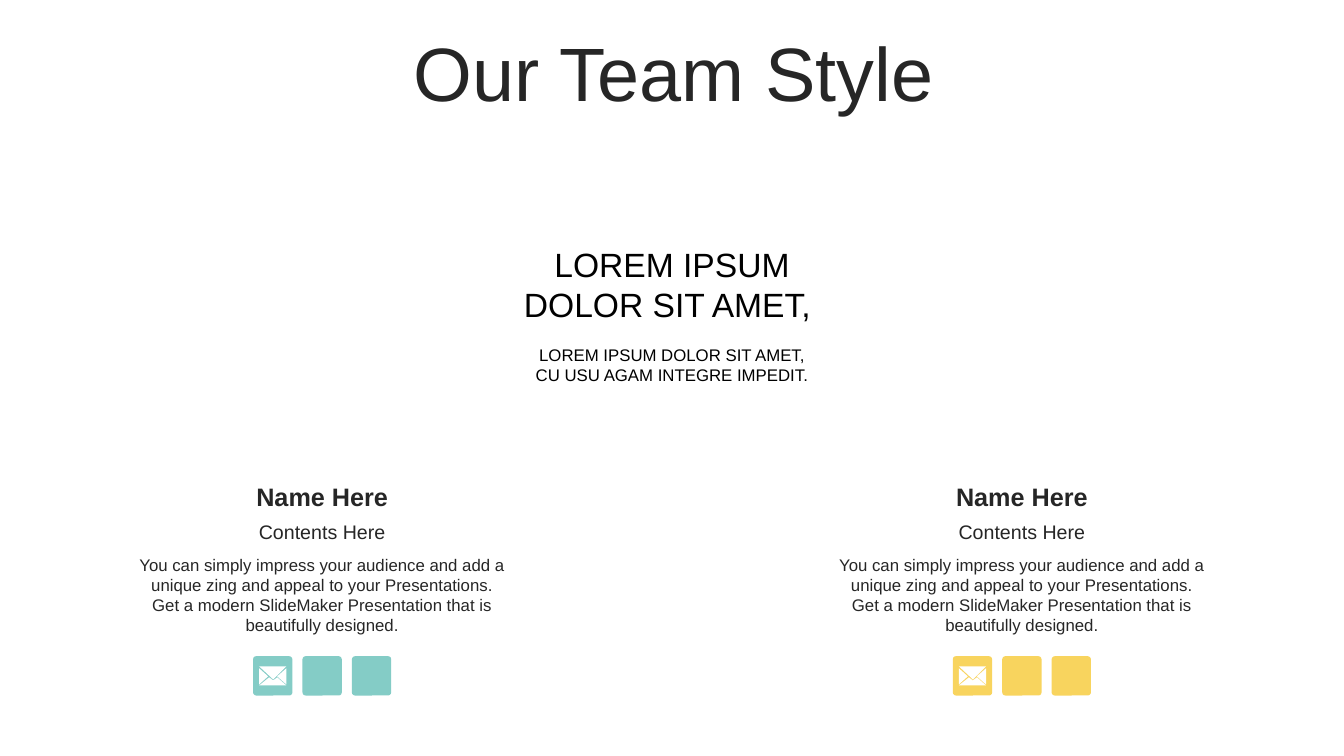
from pptx import Presentation
from pptx.dml.color import RGBColor
from pptx.enum.shapes import MSO_SHAPE
from pptx.enum.text import MSO_ANCHOR, PP_ALIGN
from pptx.util import Inches, Pt

TITLE = "Our Team Style"
INK, BLACK, WHITE = "262626", "000000", "FFFFFF"
BLURB = ("You can simply impress your audience and add a unique zing and "
         "appeal to your Presentations. Get a modern SlideMaker "
         "Presentation that is beautifully designed.")

# top, height, lines, size, bold, anchor
MIDDLE = [
    (2.36, 0.91, ["LOREM IPSUM", "DOLOR SIT AMET, "], 24, False, MSO_ANCHOR.MIDDLE),
    (3.37, 0.5, ["LOREM IPSUM DOLOR SIT AMET,", "CU USU AGAM INTEGRE IMPEDIT."],
     12, False, MSO_ANCHOR.MIDDLE),
]
CARD = [
    (4.73, 0.38, ["Name Here"], 18, True, MSO_ANCHOR.MIDDLE),
    (5.14, 0.27, ["Contents Here"], 14, False, MSO_ANCHOR.MIDDLE),
    (5.45, 0.91, [BLURB], 12, False, MSO_ANCHOR.TOP),
]
MEMBERS = [(1.25, "84CCC6"), (8.19, "F8D45E")]  # left, colour
WIDTH = 3.89
ICON, STEP, ICON_TOP, ICONS = 0.39, 0.49, 6.51, 3

# Envelope pieces, in hundredths of an inch from the icon's corner
ENVELOPE = [
    [(6, 10), (20, 23), (33, 10)],
    [(6, 12), (6, 28), (15, 20)],
    [(33, 12), (24, 20), (33, 28)],
    [(24, 21), (20, 24), (16, 21), (6, 29), (33, 29)],
]


def color(code):
    return RGBColor.from_string(code)


def paint(shape, code):
    shape.shadow.inherit = False
    shape.fill.solid()
    shape.fill.fore_color.rgb = color(code)
    shape.line.fill.background()


def write(frame, lines, size, code, bold=False, anchor=MSO_ANCHOR.MIDDLE):
    frame.word_wrap = True
    frame.vertical_anchor = anchor
    frame.text = "\n".join(lines)
    for para in frame.paragraphs:
        para.alignment = PP_ALIGN.CENTER
        for run in para.runs:
            font = run.font
            font.name, font.size, font.bold = "Arial", Pt(size), bold
            font.color.rgb = color(code)


def stack(shapes, left, rows, code):
    """Add one text box for each row of a column."""
    for top, height, lines, size, bold, anchor in rows:
        box = shapes.add_textbox(Inches(left), Inches(top), Inches(WIDTH), Inches(height))
        write(box.text_frame, lines, size, code, bold, anchor)


def envelope(shapes, left, top):
    first, *rest = ENVELOPE
    pen = shapes.build_freeform(*first[0], scale=Inches(0.01))
    pen.add_line_segments(first[1:], close=True)
    for piece in rest:
        pen.move_to(*piece[0])
        pen.add_line_segments(piece[1:], close=True)
    paint(pen.convert_to_shape(Inches(left), Inches(top)), WHITE)


def icons(shapes, left, code):
    start = left + (WIDTH - ICON - (ICONS - 1) * STEP) / 2
    for i in range(ICONS):
        tile = shapes.add_shape(MSO_SHAPE.ROUNDED_RECTANGLE, Inches(start + i * STEP),
                                Inches(ICON_TOP), Inches(ICON), Inches(ICON))
        tile.adjustments[0] = 0.08
        paint(tile, code)
    envelope(shapes, start, ICON_TOP)


def main():
    deck = Presentation()
    deck.slide_width, deck.slide_height = Inches(13.33), Inches(7.5)
    slide = deck.slides.add_slide(deck.slide_layouts[5])
    shapes = slide.shapes

    title = shapes.title
    title.left, title.top = Inches(0.35), Inches(0.37)
    title.width, title.height = Inches(12.66), Inches(0.79)
    write(title.text_frame, [TITLE], 54, INK)
    title.text_frame.paragraphs[0].line_spacing = 0.9

    for left, code in MEMBERS:
        stack(shapes, left, CARD, INK)
        icons(shapes, left, code)
    stack(shapes, (13.33 - WIDTH) / 2, MIDDLE, BLACK)
    deck.save("out.pptx")


if __name__ == "__main__":
    main()
